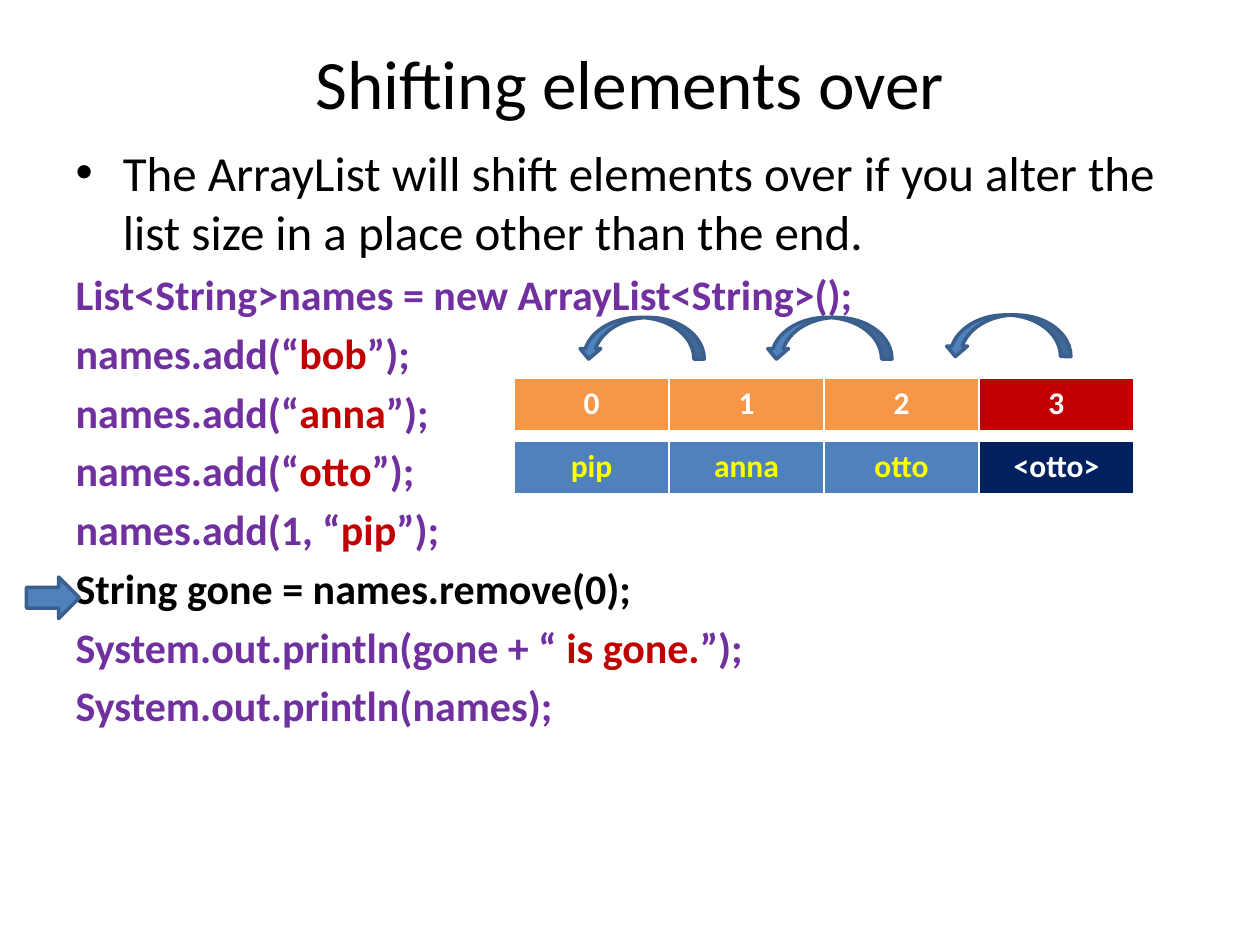
from dataclasses import dataclass

from lxml.etree import SubElement
from pptx import Presentation
from pptx.dml.color import RGBColor
from pptx.enum.shapes import MSO_SHAPE as Preset
from pptx.enum.text import MSO_ANCHOR, MSO_AUTO_SIZE, PP_ALIGN
from pptx.oxml.ns import qn
from pptx.util import Inches, Pt


@dataclass(frozen=True)
class Theme:
    font: str = "Calibri"
    black: str = "000000"
    white: str = "FFFFFF"
    yellow: str = "FFFF00"
    code: str = "7030A0"
    red: str = "C00000"
    orange: str = "F79646"
    blue: str = "4F81BD"
    navy: str = "002060"
    outline: str = "3A5F8C"
    title_size: float = 39.6
    intro_size: float = 28
    code_size: float = 24
    cell_size: float = 18


THEME = Theme()

TITLE = "Shifting elements over"
INTRO = ("The ArrayList will shift elements over if you alter the list size "
         "in a place other than the end.")
# Bars enclose the contents of a string literal.
CODE = [
    "List<String>names = new ArrayList<String>();",
    "names.add(“|bob|”);",
    "names.add(“|anna|”);",
    "names.add(“|otto|”);",
    "names.add(1, “|pip|”);",
    "String gone = names.remove(0);",
    "System.out.println(gone + “ |is gone.|”);",
    "System.out.println(names);",
]
CURRENT_LINE = 5
# Each cell: text, text colour, fill
INDEXES = [(str(i), THEME.white, THEME.orange) for i in range(3)]
INDEXES.append(("3", THEME.white, THEME.red))
NAMES = [(name, THEME.yellow, THEME.blue) for name in ("pip", "anna", "otto")]
NAMES.append(("<otto>", THEME.white, THEME.navy))

ARRAY_LEFT, ARRAY_TOP, ROW_PITCH = 4.08, 3, 0.5
CELL_WIDTH, CELL_HEIGHT = 1.23, 0.42
SHIFT_ARROWS = [(4.59, 2.52), (6.08, 2.52), (7.5, 2.5)]


def box(left, top, width, height):
    return [Inches(length) for length in (left, top, width, height)]


def place(shape, left, top, width, height):
    shape.left, shape.top, shape.width, shape.height = box(left, top, width, height)
    shape.text_frame.auto_size = MSO_AUTO_SIZE.NONE


def style(run, size, color, bold=False):
    run.font.name, run.font.size, run.font.bold = THEME.font, Pt(size), bold
    run.font.color.rgb = RGBColor.from_string(color)


def add_code_line(frame, line, base_color):
    paragraph = frame.add_paragraph()
    properties = paragraph._p.get_or_add_pPr()
    properties.set("marL", "0")
    properties.set("indent", "0")
    SubElement(properties, qn("a:buNone"))
    for position, part in enumerate(line.split("|")):
        run = paragraph.add_run()
        run.text = part
        style(run, THEME.code_size, THEME.red if position % 2 else base_color, True)


def add_array_row(slide, cells, top):
    table = slide.shapes.add_table(1, len(cells), *box(
        ARRAY_LEFT, top, CELL_WIDTH * len(cells), CELL_HEIGHT)).table
    for cell, (text, color, fill) in zip(table.rows[0].cells, cells):
        cell.fill.solid()
        cell.fill.fore_color.rgb = RGBColor.from_string(fill)
        paragraph = cell.text_frame.paragraphs[0]
        paragraph.text = text
        paragraph.alignment = PP_ALIGN.CENTER
        style(paragraph.runs[0], THEME.cell_size, color, True)


def add_arrow(slide, preset, *bounds, flipped=False):
    arrow = slide.shapes.add_shape(preset, *box(*bounds))
    arrow.shadow.inherit = False
    arrow.fill.solid()
    arrow.fill.fore_color.rgb = RGBColor.from_string(THEME.blue)
    arrow.line.color.rgb = RGBColor.from_string(THEME.outline)
    arrow.line.width = Pt(2)
    if flipped:
        arrow._element.spPr.find(qn("a:xfrm")).set("flipH", "1")


def main():
    deck = Presentation()
    deck.slide_width, deck.slide_height = Inches(10), Inches(7.5)
    slide = deck.slides.add_slide(deck.slide_layouts[1])
    title, body = slide.placeholders

    place(title, 0.5, 0.3, 9, 0.7)
    title.text_frame.text = TITLE
    title.text_frame.vertical_anchor = MSO_ANCHOR.MIDDLE
    style(title.text_frame.paragraphs[0].runs[0], THEME.title_size, THEME.black)

    place(body, 0.5, 1.08, 9, 5.62)
    body.text_frame.text = INTRO
    style(body.text_frame.paragraphs[0].runs[0], THEME.intro_size, THEME.black)
    for number, line in enumerate(CODE):
        color = THEME.black if number == CURRENT_LINE else THEME.code
        add_code_line(body.text_frame, line, color)

    for row, cells in enumerate((INDEXES, NAMES)):
        add_array_row(slide, cells, ARRAY_TOP + row * ROW_PITCH)

    add_arrow(slide, Preset.RIGHT_ARROW, 0.21, 4.58, 0.42, 0.33)
    for left, top in SHIFT_ARROWS:
        add_arrow(slide, Preset.CURVED_DOWN_ARROW, left, top, 1, 0.33, flipped=True)

    deck.save("out.pptx")


if __name__ == "__main__":
    main()
